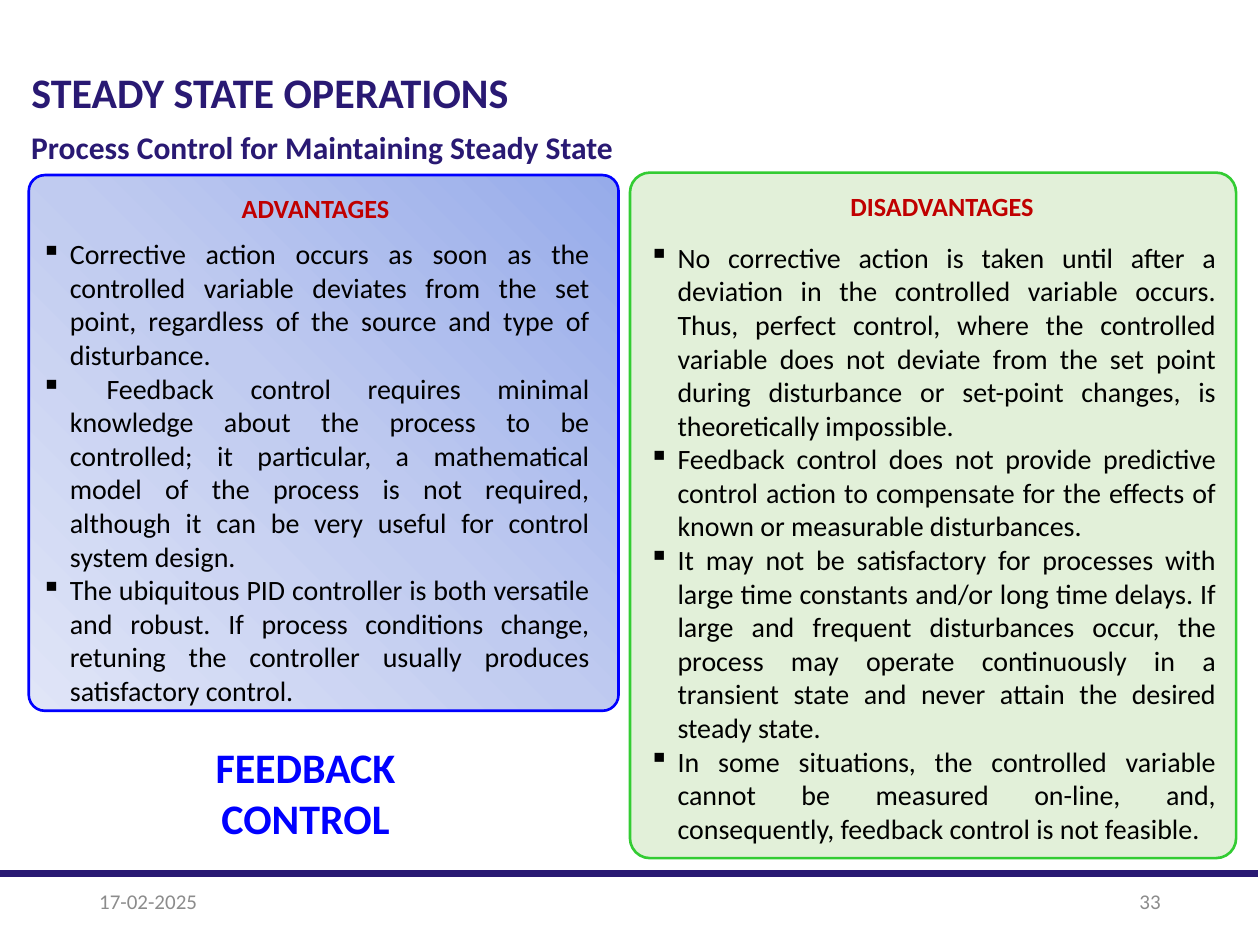
import dataclasses
import typing

import pptx
import pptx.dml.color
import pptx.enum.shapes
import pptx.enum.text
import pptx.oxml
import pptx.oxml.ns
import pptx.util

Cm = pptx.util.Cm
Align = pptx.enum.text.PP_ALIGN
Anchor = pptx.enum.text.MSO_ANCHOR
Area = tuple[float, float, float, float]


@dataclasses.dataclass(frozen=True)
class Theme:
    font: str = "Calibri"
    navy: str = "291973"
    blue: str = "0000FF"
    green: str = "33CC33"
    pale_green: str = "E2F0D9"
    blue_stops: tuple[str, ...] = ("96ABEA", "C0CBF0", "E0E5F7")
    red: str = "C00000"
    black: str = "000000"
    grey: str = "8C8C8C"
    heading: int = 24
    subheading: int = 18
    body: int = 16
    label: int = 15
    footer: int = 12
    outline: float = 1.5
    rule: int = 4


THEME = Theme()


@dataclasses.dataclass(frozen=True)
class Caption:
    area: Area
    text: str
    size: int
    colour: str
    bold: bool = True
    align: typing.Any = Align.LEFT
    anchor: typing.Any = Anchor.TOP


@dataclasses.dataclass(frozen=True)
class Panel:
    area: Area
    corner: float
    line: str
    fills: tuple[str, ...]
    label: str
    label_area: Area
    points: tuple[str, ...]
    points_area: Area


PANELS = (
    Panel(
        (0.58, 3.53, 11.89, 10.8), 0.03, THEME.blue, THEME.blue_stops,
        "ADVANTAGES", (2.84, 3.76, 7.04, 0.89),
        (
            "Corrective action occurs as soon as the controlled variable deviates from the set "
            "point, regardless of the source and type of disturbance.",
            " Feedback control requires minimal knowledge about the process to be controlled; it "
            "particular, a mathematical model of the process is not required, although it can be "
            "very useful for control system design.",
            "The ubiquitous PID controller is both versatile and robust. If process conditions "
            "change, retuning the controller usually produces satisfactory control.",
        ),
        (0.58, 4.65, 11.56, 9.83),
    ),
    Panel(
        (12.7, 3.48, 12.22, 13.82), 0.033, THEME.green, (THEME.pale_green,),
        "DISADVANTAGES", (15.47, 3.71, 7.04, 0.89),
        (
            "No corrective action is taken until after a deviation in the controlled variable "
            "occurs. Thus, perfect control, where the controlled variable does not deviate from "
            "the set point during disturbance or set-point changes, is theoretically impossible.",
            "Feedback control does not provide predictive control action to compensate for the "
            "effects of known or measurable disturbances.",
            "It may not be satisfactory for processes with large time constants and/or long time "
            "delays. If large and frequent disturbances occur, the process may operate "
            "continuously in a transient state and never attain the desired steady state.",
            "In some situations, the controlled variable cannot be measured on-line, and, "
            "consequently, feedback control is not feasible.",
        ),
        (12.83, 4.72, 11.94, 12.57),
    ),
)

TITLE = Caption((0.38, 1.22, 19.15, 1.27), "STEADY STATE OPERATIONS", THEME.heading, THEME.navy)
CAPTIONS = (
    Caption((0.38, 2.46, 15.19, 1.02), "Process Control for Maintaining Steady State",
            THEME.subheading, THEME.navy),
    Caption((2.64, 14.83, 7.04, 2.31), "FEEDBACK CONTROL", THEME.heading, THEME.blue,
            align=Align.CENTER),
    Caption((1.75, 17.65, 5.72, 1.02), "17-02-2025", THEME.footer, THEME.grey, False,
            anchor=Anchor.MIDDLE),
    Caption((17.93, 17.65, 5.72, 1.02), "33", THEME.footer, THEME.grey, False,
            Align.RIGHT, Anchor.MIDDLE),
)


def apply(target: typing.Any, values: dict[str, typing.Any]) -> None:
    for name, value in values.items():
        setattr(target, name, value)


def rgb(colour: str) -> pptx.dml.color.RGBColor:
    return pptx.dml.color.RGBColor.from_string(colour)


def lengths(area: Area) -> list[pptx.util.Length]:
    return [Cm(value) for value in area]


def write_para(para: typing.Any, text: str, size: int, colour: str, bold: bool,
               align: typing.Any) -> None:
    para.alignment = align
    span = para.add_run()
    span.text = text
    apply(span.font, {"name": THEME.font, "size": pptx.util.Pt(size), "bold": bold})
    span.font.color.rgb = rgb(colour)


def write_caption(box: typing.Any, caption: Caption) -> None:
    frame = box.text_frame
    apply(frame, {"word_wrap": True, "auto_size": pptx.enum.text.MSO_AUTO_SIZE.NONE,
                  "vertical_anchor": caption.anchor})
    write_para(frame.paragraphs[0], caption.text, caption.size, caption.colour,
               caption.bold, caption.align)


def add_caption(page: typing.Any, caption: Caption) -> None:
    write_caption(page.shapes.add_textbox(*lengths(caption.area)), caption)


def add_bullets(page: typing.Any, area: Area, points: tuple[str, ...]) -> None:
    frame = page.shapes.add_textbox(*lengths(area)).text_frame
    frame.word_wrap = True
    for index, point in enumerate(points):
        para = frame.add_paragraph() if index else frame.paragraphs[0]
        write_para(para, point, THEME.body, THEME.black, False, Align.JUSTIFY)
        properties = para._p.get_or_add_pPr()
        properties.set("marL", str(Cm(0.58)))
        properties.set("indent", str(-Cm(0.58)))
        pptx.oxml.parse_xml
        bullet = properties.makeelement(pptx.oxml.ns.qn("a:buChar"), {"char": "▪"})
        properties.append(bullet)


def fill_corner_gradient(box: typing.Any, colours: tuple[str, ...]) -> None:
    step = 100000 // (len(colours) - 1)
    stops = "".join(
        f'<a:gs pos="{index * step}"><a:srgbClr val="{colour}"/></a:gs>'
        for index, colour in enumerate(colours)
    )
    gradient = pptx.oxml.parse_xml(
        f'<a:gradFill {pptx.oxml.ns.nsdecls("a")} rotWithShape="1"><a:gsLst>{stops}</a:gsLst>'
        '<a:path path="circle"><a:fillToRect l="100000" b="100000"/></a:path></a:gradFill>'
    )
    box.fill.solid()
    properties = box._element.spPr
    properties.replace(properties.find(pptx.oxml.ns.qn("a:solidFill")), gradient)


def add_panel(page: typing.Any, panel: Panel) -> None:
    box = page.shapes.add_shape(
        pptx.enum.shapes.MSO_SHAPE.ROUNDED_RECTANGLE, *lengths(panel.area))
    box.adjustments[0] = panel.corner
    box.shadow.inherit = False
    if len(panel.fills) > 1:
        fill_corner_gradient(box, panel.fills)
    else:
        box.fill.solid()
        box.fill.fore_color.rgb = rgb(panel.fills[0])
    box.line.color.rgb = rgb(panel.line)
    box.line.width = pptx.util.Pt(THEME.outline)
    add_caption(page, Caption(panel.label_area, panel.label, THEME.label, THEME.red,
                              align=Align.CENTER))
    add_bullets(page, panel.points_area, panel.points)


def add_footer_rule(page: typing.Any) -> None:
    rule = page.shapes.add_connector(
        pptx.enum.shapes.MSO_CONNECTOR.STRAIGHT, Cm(0), Cm(17.6), Cm(25.35), Cm(17.6))
    rule.line.color.rgb = rgb(THEME.navy)
    rule.line.width = pptx.util.Pt(THEME.rule)
    properties = rule._element.spPr
    properties.append(properties.makeelement(pptx.oxml.ns.qn("a:effectLst"), {}))


def main() -> None:
    deck = pptx.Presentation()
    apply(deck, {"slide_width": Cm(25.4), "slide_height": Cm(19.05)})
    page = deck.slides.add_slide(deck.slide_layouts.get_by_name("Title Only"))
    title = page.shapes.title
    apply(title, dict(zip(("left", "top", "width", "height"), lengths(TITLE.area))))
    write_caption(title, TITLE)
    for panel in PANELS:
        add_panel(page, panel)
    for caption in CAPTIONS:
        add_caption(page, caption)
    add_footer_rule(page)
    deck.save("out.pptx")


if __name__ == "__main__":
    main()
